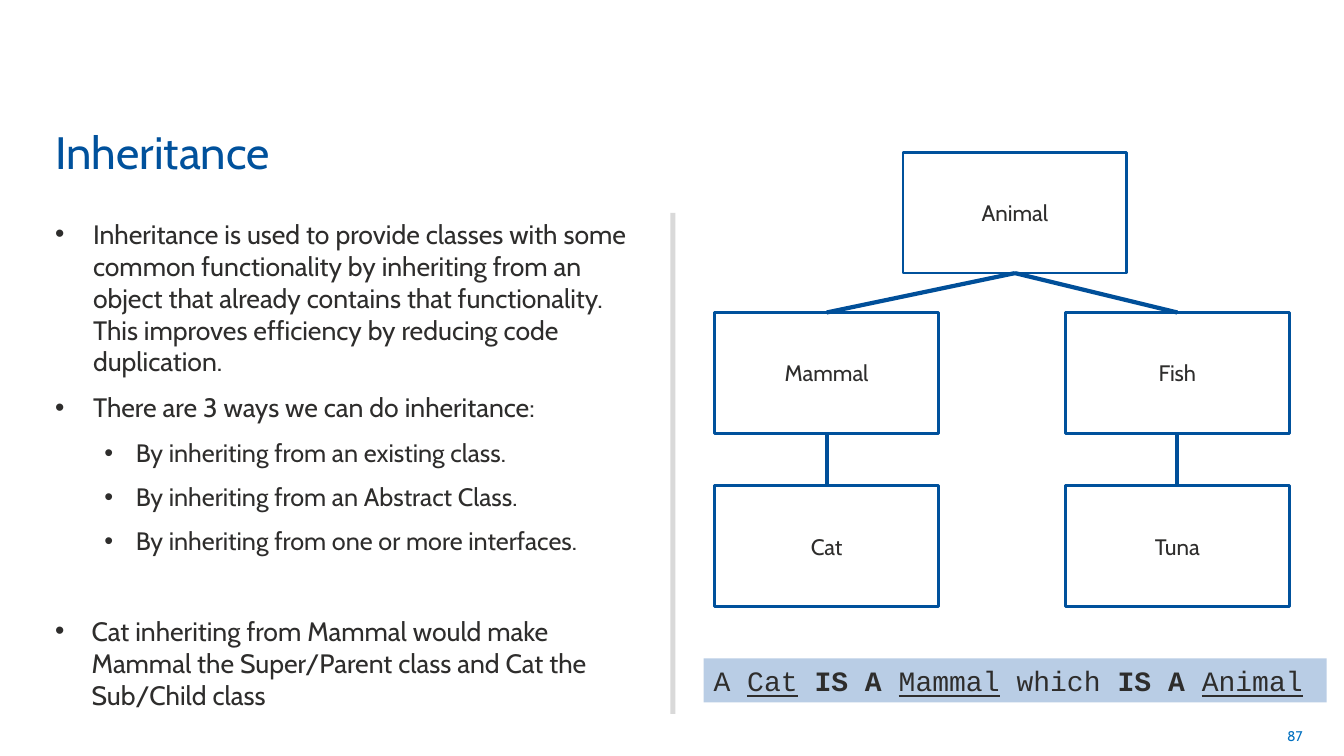
from lxml import etree
from pptx import Presentation
from pptx import util as u
from pptx.dml import color
from pptx.enum import shapes, text
from pptx.oxml import ns

Pt = u.Pt
THEME = {
    "font": "Cabin", "code_font": "Courier New", "bullet_font": "Arial",
    "ink": "2E2D2C", "blue": "00519C", "link": "004F99", "number": "0070C0",
    "divider": "D9D9D9", "band": "B9CDE5", "white": "FFFFFF",
    "title_size": 32.4, "body_size": 19, "sub_size": 18,
    "node_size": 16, "code_size": 20, "number_size": 10,
}


def write(para, words, size, ink="ink", font="font", bold=False, underline=False, align=text.PP_ALIGN.LEFT):
    para.alignment = align
    span = para.add_run()
    span.text = words
    span.font.name = THEME[font]
    span.font.size = Pt(THEME[size])
    span.font.color.rgb = color.RGBColor.from_string(THEME[ink])
    span.font.bold = bold
    span.font.underline = underline


def add_box(page, left, top, width, height, fill=None, line=None, anchor=text.MSO_ANCHOR.TOP):
    place = [Pt(length) for length in (left, top, width, height)]
    if fill:
        box = page.shapes.add_shape(shapes.MSO_SHAPE.RECTANGLE, *place)
        box.shadow.inherit = False
        box.fill.solid()
        box.fill.fore_color.rgb = color.RGBColor.from_string(THEME[fill])
    else:
        box = page.shapes.add_textbox(*place)
    if line:
        box.line.color.rgb = color.RGBColor.from_string(THEME[line])
        box.line.width = Pt(2)
    else:
        box.line.fill.background()
    box.text_frame.word_wrap = True
    box.text_frame.vertical_anchor = anchor
    return box


deck = Presentation()
deck.slide_width, deck.slide_height = Pt(960), Pt(540)
page = deck.slides.add_slide(deck.slide_layouts[6])

number = add_box(page, 713.5, 511.2, 224, 28.8, anchor=text.MSO_ANCHOR.MIDDLE)
write(number.text_frame.paragraphs[0], "87", "number_size", ink="number", align=text.PP_ALIGN.RIGHT)
add_box(page, 478.8, 152, 3.6, 358, fill="divider")

body = add_box(page, 32.4, 152, 439.2, 358)
points = [
    ("Inheritance is used to provide classes with some common functionality by inheriting from an object "
     "that already contains that functionality. This improves efficiency by reducing code duplication.",
     "body_size", 27, -27, 2),
    ("There are 3 ways we can do inheritance:", "body_size", 27, -27, 2),
    ("By inheriting from an existing class.", "sub_size", 57.6, -22.5, 2),
    ("By inheriting from an Abstract Class.", "sub_size", 57.6, -22.5, 2),
    ("By inheriting from one or more interfaces.", "sub_size", 57.6, -22.5, 2),
    ("Cat inheriting from Mammal would make Mammal the Super/Parent class and Cat the Sub/Child class",
     "body_size", 26, -27, 34),
]
for index, (words, size, margin, indent, before) in enumerate(points):
    para = body.text_frame.add_paragraph() if index else body.text_frame.paragraphs[0]
    write(para, words, size)
    para.level = int(size == "sub_size")
    para.space_before, para.space_after = Pt(before), Pt(8)
    layout = para._p.get_or_add_pPr()
    layout.set("marL", str(Pt(margin)))
    layout.set("indent", str(Pt(indent)))
    etree.SubElement(layout, ns.qn("a:buFont"), typeface=THEME["bullet_font"])
    etree.SubElement(layout, ns.qn("a:buChar"), char="•")

title = add_box(page, 32.4, 81.4, 718.6, 49.7, anchor=text.MSO_ANCHOR.BOTTOM)
write(title.text_frame.paragraphs[0], "Inheritance", "title_size", ink="blue")

nodes = {}
for name, left, top in [
    ("Animal", 645, 108.7),
    ("Mammal", 510.5, 223.2),
    ("Fish", 761, 223.2),
    ("Cat", 510.5, 347),
    ("Tuna", 761, 347),
]:
    nodes[name] = add_box(page, left, top, 160, 86.4, fill="white", line="blue", anchor=text.MSO_ANCHOR.MIDDLE)
    write(nodes[name].text_frame.paragraphs[0], name, "node_size", align=text.PP_ALIGN.CENTER)

for parent, child in [("Animal", "Mammal"), ("Animal", "Fish"), ("Fish", "Tuna"), ("Mammal", "Cat")]:
    link = page.shapes.add_connector(shapes.MSO_CONNECTOR.STRAIGHT, 0, 0, 0, 0)
    link.begin_connect(nodes[parent], 2)
    link.end_connect(nodes[child], 0)
    link.line.color.rgb = color.RGBColor.from_string(THEME["link"])
    link.line.width = Pt(3)
    etree.SubElement(link._element.spPr, ns.qn("a:effectLst"))

band = add_box(page, 502.6, 470.2, 445, 31.5, fill="band")
for words, look in [
    ("A ", {}),
    ("Cat", {"underline": True}),
    (" ", {}),
    ("IS A ", {"bold": True}),
    ("Mammal", {"underline": True}),
    (" which ", {}),
    ("IS A ", {"bold": True}),
    ("Animal", {"underline": True}),
]:
    write(band.text_frame.paragraphs[0], words, "code_size", font="code_font", **look)

deck.save("out.pptx")
